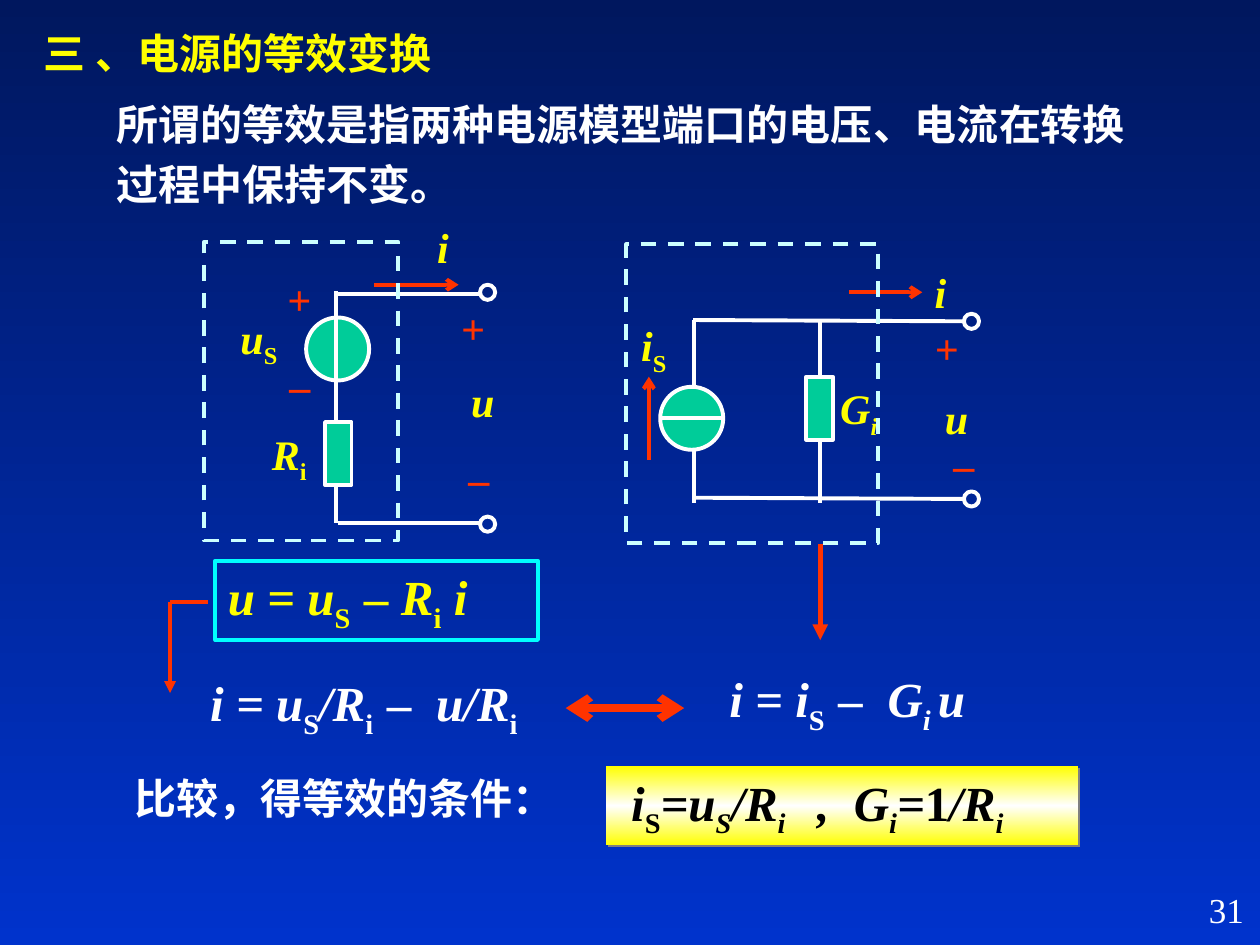
from copy import deepcopy

from lxml.etree import SubElement
from pptx import Presentation
from pptx.dml.color import RGBColor
from pptx.enum.dml import MSO_LINE
from pptx.enum.shapes import MSO_CONNECTOR, MSO_SHAPE
from pptx.enum.text import MSO_ANCHOR, PP_ALIGN
from pptx.oxml.ns import qn
from pptx.util import Inches, Pt

COLORS = {
    "night": "00175E", "blue": "0033CC", "yellow": "FFFF00", "white": "FFFFFF",
    "red": "FF3300", "green": "00CC99", "cyan": "00FFFF", "pale": "CCFFFF",
    "black": "000000", "gray": "808080",
}
LATIN, CHINESE = "Times New Roman", "Noto Sans CJK SC"
COLUMNS, ROWS = 100, 75
deck = Presentation()
deck.slide_width, deck.slide_height = Inches(10), Inches(7.5)
page = deck.slides.add_slide(deck.slide_layouts[6])


def color(name):
    return RGBColor.from_string(COLORS[name])


def across(columns):
    return round(columns * deck.slide_width / COLUMNS)


def down(rows):
    return round(rows * deck.slide_height / ROWS)


def place(left, top, width, height):
    return across(left), down(top), across(width), down(height)


def apply(target, values):
    for name, value in values.items():
        setattr(target, name, value)


def paint_gradient(fill, names):
    """Vertical gradient with evenly spaced colours."""
    fill.gradient()
    fill.gradient_angle = 270
    first = fill.gradient_stops[0]._gs
    for _ in names[2:]:
        first.addnext(deepcopy(first))
    for index, (stop, name) in enumerate(zip(fill.gradient_stops, names)):
        stop.position = index / (len(names) - 1)
        stop.color.rgb = color(name)


def write(shape, runs, tint, size=24, bold=True, align=PP_ALIGN.LEFT,
          spacing=1.0, font=LATIN, indent=1):
    """Runs are (text, style): i italic, _ subscript, a number widens the space."""
    frame = shape.text_frame
    apply(frame, {"word_wrap": True, "vertical_anchor": MSO_ANCHOR.TOP,
                  "margin_left": across(indent), "margin_right": across(1),
                  "margin_top": down(0.5), "margin_bottom": down(0.5)})
    para = frame.paragraphs[0]
    apply(para, {"alignment": align, "line_spacing": spacing})
    for text, style in runs:
        span = para.add_run()
        span.text = text
        marks = style if isinstance(style, str) else ""
        apply(span.font, {"name": font, "size": Pt(size), "bold": bold, "italic": "i" in marks})
        span.font.color.rgb = color(tint)
        props = span._r.get_or_add_rPr()
        SubElement(props, qn("a:ea"), typeface=CHINESE)
        if "_" in marks:
            props.set("baseline", "-25000")
        if not isinstance(style, str):
            props.set("spc", str(style * 100))


def add_text(box, runs, tint, **options):
    write(page.shapes.add_textbox(*place(*box)), runs, tint, **options)


def add_part(kind, box, fill=None, line=None, dash=None):
    part = page.shapes.add_shape(kind, *place(*box))
    part.shadow.inherit = False
    if fill:
        part.fill.solid()
        part.fill.fore_color.rgb = color(fill)
    else:
        part.fill.background()
    if line:
        apply(part.line, {"width": Pt(2.25), "dash_style": dash})
        part.line.color.rgb = color(line)
    else:
        part.line.fill.background()
    return part


def add_line(start, end, tint, width=2.25, head=None, tail=None):
    line = page.shapes.add_connector(MSO_CONNECTOR.STRAIGHT, across(start[0]), down(start[1]),
                                     across(end[0]), down(end[1]))
    line.line.width = Pt(width)
    line.line.color.rgb = color(tint)
    props = line._element.spPr
    for tag, kind in (("a:headEnd", head), ("a:tailEnd", tail)):
        if kind:
            SubElement(props.find(qn("a:ln")), qn(tag), type=kind)
    SubElement(props, qn("a:effectLst"))


def draw_circuit(box, model):
    """Source model with its two-terminal port, inside a dashed frame."""
    left, top = box[:2]

    def at(x, y):
        return left + x, top + y

    def wires(name):
        for x1, y1, x2, y2 in model[name]:
            add_line(at(x1, y1), at(x2, y2), "white")

    wires("wires behind")
    add_part(MSO_SHAPE.OVAL, (*at(*model["source"]), 5, 5), "green", "white")
    wires("wires in front")
    add_part(MSO_SHAPE.RECTANGLE, (*at(*model["resistor"]), 2.1, 5), "green", "white")
    for x1, y1, x2, y2 in model["currents"]:
        add_line(at(x1, y1), at(x2, y2), "red", tail="arrow")
    for spot in model["terminals"]:
        add_part(MSO_SHAPE.OVAL, (*at(*spot), 1.2, 1.2), line="white")
    for x, y, letter, sub, style in model["labels"]:
        runs = [(letter, "i")] + ([(sub, style)] if sub else [])
        add_text((*at(x, y), 5.8, 5), runs, "red" if letter in "+_" else "yellow")
    add_part(MSO_SHAPE.RECTANGLE, box, line="pale", dash=MSO_LINE.DASH)


def draw_heading(left, top):
    add_text((left, top, 43.2, 5), [("三 、电源的等效变换", "")], "yellow")
    add_text((left + 5.8, top + 4.8, 82.5, 10.6),
             [("所谓的等效是指两种电源模型端口的电压、电流在转换过程中保持不变。", "")],
             "white", spacing=1.2)


def draw_equations(left, top):
    """Port equations of both models and the arrows between them."""
    frame = add_part(MSO_SHAPE.RECTANGLE, (left + 3.6, top, 25.6, 6.3), line="cyan")
    write(frame, [("u = u", "i"), ("S", "_"), (" ", 1), ("– R", "i"), ("i", "_"), (" ", 0),
                  ("i", "i")], "yellow", size=28)
    add_text((left + 2.2, top + 8.4, 30.8, 6.3),
             [("i = u", "i"), ("S", "_"), ("/R", "i"), ("i", "_"), (" ", 1), ("–", "i"),
              (" ", 7), ("u/R", "i"), ("i", "_")], "white", size=28)
    add_text((left + 43.4, top + 8.1, 23.9, 6.3),
             [("i = i", "i"), ("S", "_"), (" ", 1), ("–", "i"), (" ", 7), ("G", "i"),
              ("i ", "_i"), ("u", "i")], "white", size=28)
    add_line((left + 31.4, top + 11.7), (left + 40.8, top + 11.7), "red", 4.5, "arrow", "arrow")
    add_line((left, top + 3.3), (left, top + 10.5), "red", tail="triangle")
    add_line((left, top + 3.3), (left + 3, top + 3.3), "red")
    add_line((left + 51.6, top - 1.3), (left + 51.6, top + 6.3), "red", 3, tail="triangle")


def draw_condition(left, top):
    """Equivalence condition on a shadowed gradient panel."""
    add_text((left, top, 42.5, 5), [("比较，得等效的条件：", "")], "white",
             font=CHINESE, indent=1.75)
    panel = add_part(MSO_SHAPE.RECTANGLE, (left + 39.2, top, 37.5, 6.3))
    paint_gradient(panel.fill, ["yellow", "white", "yellow"])
    effects = panel._element.spPr.find(qn("a:effectLst"))
    shadow = SubElement(effects, qn("a:outerShdw"), dist=str(Pt(1.4)), dir="2700000")
    SubElement(shadow, qn("a:srgbClr"), val=COLORS["gray"])
    write(panel, [("i", "i"), ("S", "_"), ("=u", "i"), ("S", "_i"), ("/R", "i"), ("i", "_i"),
                  (" ", 11), (",", "i"), (" ", 7), ("G", "i"), ("i", "_i"), ("=", "i"),
                  ("1", ""), ("/R", "i"), ("i", "_i")], "black", size=28, indent=2)


VOLTAGE_MODEL = {
    "wires behind": [],
    "source": (8.1, 6),
    "wires in front": [(10.5, 3.9, 10.5, 22.3), (10.4, 4.1, 21.9, 4.1), (10.6, 22.3, 21.9, 22.3)],
    "resistor": (9.6, 14.3),
    "currents": [(13.5, 3.4, 20.2, 3.4)],
    "terminals": [(21.9, 3.4), (21.9, 21.8)],
    "labels": [(17.5, -2.1, "i", "", ""), (5.6, 2, "+", "", ""), (6, 7.7, "_", "", ""),
               (1.9, 5.1, "u", "S", "_"), (4.4, 14.3, "R", "i", "_"), (19.4, 4.3, "+", "", ""),
               (20.2, 10.1, "u", "", ""), (20.2, 15.1, "_", "", "")],
}
CURRENT_MODEL = {
    "wires behind": [(5.3, 6, 26.8, 6.1), (5.3, 20.1, 26.8, 20.2), (5.4, 6, 5.4, 20.5),
                     (15.4, 6, 15.4, 20.5)],
    "source": (2.7, 11.3),
    "wires in front": [(2.7, 13.8, 7.7, 13.8)],
    "resistor": (14.3, 10.5),
    "currents": [(17.7, 3.8, 23.5, 3.8), (1.8, 17.1, 1.8, 10.5)],
    "terminals": [(26.8, 5.5), (26.8, 19.6)],
    "labels": [(23.5, 1.3, "i", "", ""), (16, 10.5, "G", "i", "_i"), (23.5, 5.7, "+", "", ""),
               (24.3, 11.3, "u", "", ""), (25.2, 13.8, "_", "", ""), (0.2, 5.5, "i", "S", "_")],
}

# Background and heading
paint_gradient(page.background.fill, ["night", "blue"])
draw_heading(2.5, 1.7)
# Equations and their condition
draw_equations(13.5, 44.5)
draw_condition(8.9, 60.8)
# Circuits
draw_circuit((16.2, 19.2, 15.4, 23.7), VOLTAGE_MODEL)
draw_circuit((49.7, 19.4, 20, 23.7), CURRENT_MODEL)
# Page number
add_text((78.9, 70, 20.8, 5), [("31", "")], "white", size=20, bold=False, align=PP_ALIGN.RIGHT)
deck.save("out.pptx")
